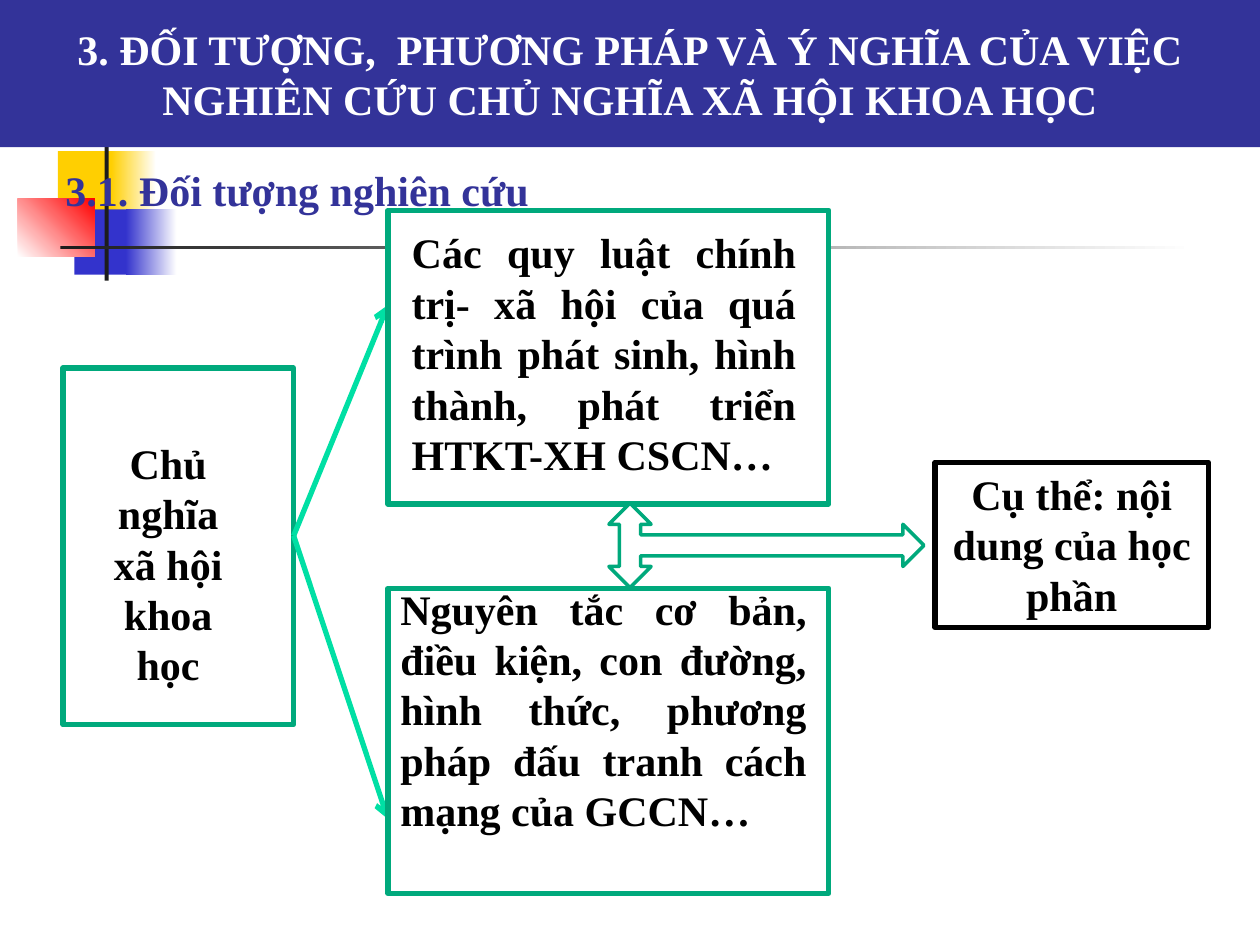
import pptx
import pptx.util
import pptx.dml.color
import pptx.enum.shapes
import pptx.enum.text
import pptx.oxml
import pptx.oxml.ns
from dataclasses import dataclass

Cm, Pt = pptx.util.Cm, pptx.util.Pt
Kind = pptx.enum.shapes.MSO_SHAPE
Align = pptx.enum.text.PP_ALIGN
Anchor = pptx.enum.text.MSO_ANCHOR


@dataclass
class Theme:
    face: str = "Times New Roman"
    size: int = 24
    thick: int = 3
    thin: int = 2
    white: str = "FFFFFF"
    black: str = "000000"
    navy: str = "333399"
    green: str = "00A97C"
    mint: str = "00DFA4"
    gold: str = "FFCF01"
    blue: str = "3333CC"
    red: str = "FF0000"
    dark: str = "1C1C1C"


def rgb(code):
    return pptx.dml.color.RGBColor.from_string(code)


def apply(item, style):
    for name, value in style.items():
        setattr(item, name, value)


class Deck:
    def __init__(self, theme):
        self.theme = theme
        self.file = pptx.Presentation()
        apply(self.file, {"slide_width": Cm(25.4), "slide_height": Cm(19.05)})
        self.slide = self.file.slides.add_slide(self.file.slide_layouts[6])

    def shape(self, area, fill=None, line=None, width=0, kind=Kind.RECTANGLE):
        item = self.slide.shapes.add_shape(kind, *map(Cm, area))
        item.shadow.inherit = False
        if fill:
            item.fill.solid()
            item.fill.fore_color.rgb = rgb(fill)
        else:
            item.fill.background()
        if line:
            item.line.color.rgb = rgb(line)
            item.line.width = Pt(width)
        else:
            item.line.fill.background()
        return item

    def fade(self, area, start, end, angle=0):
        """Add a borderless rectangle with a two-colour gradient."""
        fill = self.shape(area).fill
        fill.gradient()
        fill.gradient_angle = angle
        for stop, code in zip(fill.gradient_stops, (start, end)):
            stop.color.rgb = rgb(code)

    def label(self, item, words, color, align, anchor=Anchor.TOP):
        frame = item.text_frame
        apply(frame, {"word_wrap": True, "vertical_anchor": anchor})
        para = frame.paragraphs[0]
        para.alignment = align
        run = para.add_run()
        run.text = words
        apply(run.font, {"name": self.theme.face, "bold": True,
                         "size": Pt(self.theme.size)})
        run.font.color.rgb = rgb(color)
        return para

    def text(self, area, *style):
        box = self.slide.shapes.add_textbox(*map(Cm, area))
        return self.label(box, *style)

    def arrow(self, start, end):
        line = self.slide.shapes.add_connector(
            pptx.enum.shapes.MSO_CONNECTOR.STRAIGHT, *map(Cm, start + end))
        line.line.color.rgb = rgb(self.theme.mint)
        line.line.width = Pt(self.theme.thick)
        space = pptx.oxml.ns.nsdecls("a")
        props = line._element.spPr
        props.get_or_add_ln().append(
            pptx.oxml.parse_xml(f'<a:tailEnd {space} type="arrow"/>'))
        props.append(pptx.oxml.parse_xml(f"<a:effectLst {space}/>"))


def main():
    look = Theme()
    deck = Deck(look)

    # Corner ornament
    for code, solid, soft in (
        (look.gold, (1.17, 3.05, 1.22, 1.32), (2.24, 3.05, 0.91, 1.32)),
        (look.blue, (1.5, 4.22, 1.17, 1.32), (2.54, 4.22, 1.02, 1.32)),
    ):
        deck.shape(solid, code)
        deck.fade(soft, code, look.white)
    deck.fade((0.36, 4.01, 1.55, 1.17), look.white, look.red, 45)
    deck.shape((2.11, 2.74, 0.08, 2.92), look.dark)
    deck.fade((1.22, 4.95, 22.86, 0.08), look.dark, look.white)

    # Headings
    banner = deck.shape((0, 0, 25.4, 2.97), look.navy)
    para = deck.label(
        banner, "3. ĐỐI TƯỢNG,  PHƯƠNG PHÁP VÀ Ý NGHĨA CỦA VIỆC "
        "NGHIÊN CỨU CHỦ NGHĨA XÃ HỘI KHOA HỌC",
        look.white, Align.CENTER, Anchor.MIDDLE)
    hang = Cm(1.42)
    apply(para._p.get_or_add_pPr(), {"marL": hang, "indent": -hang})
    deck.text((1.07, 2.16, 22.86, 2.29), "3.1. Đối tượng nghiên cứu",
              look.navy, Align.LEFT, Anchor.BOTTOM)

    # Frames and arrows
    fork, edge = (5.92, 10.8), 7.82
    deck.shape((1.27, 7.42, 4.65, 7.19), look.white, look.green, look.thick)
    for top, tall, tip in ((4.24, 5.92, 6.15), (11.86, 6.15, 16.51)):
        deck.arrow(fork, (edge, tip))
        deck.shape((edge, top, 8.89, tall), look.white, look.green, look.thick)

    # Frame texts
    for area, words, align in (
        ((1.7, 8.69, 3.38, 5.38), "Chủ nghĩa xã hội khoa học", Align.CENTER),
        ((8.05, 4.45, 8.25, 5.38),
         "Các quy luật chính trị- xã hội của quá trình phát sinh, "
         "hình thành, phát triển HTKT-XH CSCN…", Align.JUSTIFY),
        ((edge, 11.63, 8.69, 5.38),
         "Nguyên tắc cơ bản, điều kiện, con đường, hình thức, "
         "phương pháp đấu tranh cách mạng của GCCN…", Align.JUSTIFY),
    ):
        deck.text(area, words, look.black, align)

    # Outcome
    fan = deck.shape((14.6, 7.82, 1.7, 6.35), look.white, look.green,
                     look.thin, Kind.LEFT_RIGHT_UP_ARROW)
    fan.rotation = 90
    goal = deck.shape((18.85, 9.32, 5.51, 3.33), None, look.black, look.thick)
    deck.label(goal, "Cụ thể: nội dung của học phần", look.black, Align.CENTER)

    deck.file.save("out.pptx")


if __name__ == "__main__":
    main()
